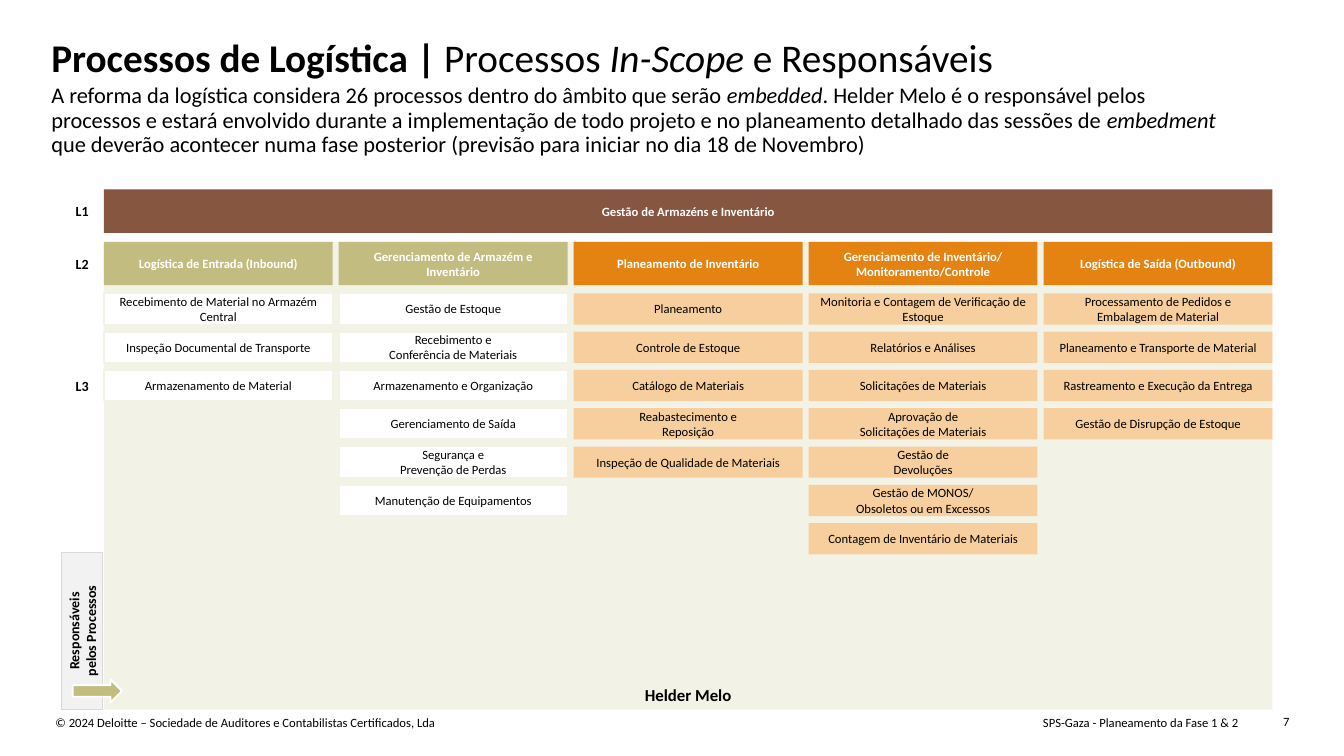
from pptx import Presentation
from pptx.dml.color import RGBColor
from pptx.enum.shapes import MSO_SHAPE as Shape
from pptx.enum.text import MSO_ANCHOR as Anchor, PP_ALIGN as Align
from pptx.util import Inches, Pt

BLACK, WHITE = "000000", "FFFFFF"
PANEL, BROWN, OLIVE, ORANGE, PEACH = "F3F2E6", "865640", "C2BC80", "E48312", "F7CE9D"
GREY, GREY_LINE = "F2F2F2", "D9D9D9"
BOLD, ITALIC = {"bold": True}, {"italic": True}

# Heading, heading fill, L3 fill, L3 outline, L3 processes
L2_COLUMNS = [
    ("Logística de Entrada (Inbound)", OLIVE, WHITE, PANEL, [
        "Recebimento de Material no Armazém Central",
        "Inspeção Documental de Transporte",
        "Armazenamento de Material"]),
    ("Gerenciamento de Armazém e Inventário", OLIVE, WHITE, PANEL, [
        "Gestão de Estoque",
        "Recebimento e\nConferência de Materiais",
        "Armazenamento e Organização",
        "Gerenciamento de Saída",
        "Segurança e\nPrevenção de Perdas",
        "Manutenção de Equipamentos"]),
    ("Planeamento de Inventário", ORANGE, PEACH, None, [
        "Planeamento",
        "Controle de Estoque",
        "Catálogo de Materiais",
        "Reabastecimento e\nReposição",
        "Inspeção de Qualidade de Materiais"]),
    ("Gerenciamento de Inventário/\nMonitoramento/Controle", ORANGE, PEACH, None, [
        "Monitoria e Contagem de Verificação de\nEstoque",
        "Relatórios e Análises",
        "Solicitações de Materiais",
        "Aprovação de\nSolicitações de Materiais",
        "Gestão de\nDevoluções",
        "Gestão de MONOS/\nObsoletos ou em Excessos",
        "Contagem de Inventário de Materiais"]),
    ("Logística de Saída (Outbound)", ORANGE, PEACH, None, [
        "Processamento de Pedidos e Embalagem de Material",
        "Planeamento e Transporte de Material",
        "Rastreamento e Execução da Entrega",
        "Gestão de Disrupção de Estoque"]),
]


def rgb(colour):
    return RGBColor.from_string(colour)


def style_font(font, size, colour, formats):
    font.name, font.size, font.color.rgb = "Calibri", Pt(size), rgb(colour)
    for attribute, value in formats.items():
        setattr(font, attribute, value)


def add_text(slide, box, runs, size, align=Align.LEFT, spacing=None):
    """Text without margins, from (text, formats) runs."""
    frame = slide.shapes.add_textbox(*map(Inches, box)).text_frame
    frame.word_wrap = True
    for side in ("left", "right", "top", "bottom"):
        setattr(frame, f"margin_{side}", 0)
    paragraph = frame.paragraphs[0]
    paragraph.alignment, paragraph.line_spacing = align, spacing
    for text, formats in runs:
        run = paragraph.add_run()
        run.text = text
        style_font(run.font, size, BLACK, formats)


def fill_label(frame, text, size, colour, formats, anchor=Anchor.MIDDLE):
    frame.word_wrap, frame.vertical_anchor = True, anchor
    for i, line in enumerate(text.split("\n")):
        paragraph = frame.add_paragraph() if i else frame.paragraphs[0]
        paragraph.alignment = Align.CENTER
        run = paragraph.add_run()
        run.text = line
        style_font(run.font, size, colour, formats)


def add_block(slide, box, fill, line=None, weight=1.35, kind=Shape.RECTANGLE):
    block = slide.shapes.add_shape(kind, *map(Inches, box))
    block.shadow.inherit = False
    block.fill.solid()
    block.fill.fore_color.rgb = rgb(fill)
    if line:
        block.line.color.rgb = rgb(line)
        block.line.width = Pt(weight)
    else:
        block.line.fill.background()
    return block.text_frame


def add_heading(slide, left, top, width):
    add_text(slide, (left, top, width, 0.46), [
        ("Processos de Logística | ", BOLD), ("Processos ", {}),
        ("In-Scope", ITALIC), (" e Responsáveis", {})], 28, spacing=0.9)
    add_text(slide, (left, top + 0.46, width, 0.84), [
        ("A reforma da logística considera 26 processos dentro do âmbito que serão ", {}),
        ("embedded", ITALIC),
        (". Helder Melo é o responsável pelos processos e estará envolvido durante a "
         "implementação de todo projeto e no planeamento detalhado das sessões de ", {}),
        ("embedment", ITALIC),
        (" que deverão acontecer numa fase posterior "
         "(previsão para iniciar no dia 18 de Novembro)", {})], 16, spacing=0.9)


def add_column(slide, left, top, width, column):
    heading, heading_fill, fill, line, processes = column
    frame = add_block(slide, (left, top, width, 0.43), heading_fill)
    fill_label(frame, heading, 9, WHITE, BOLD)
    for row, process in enumerate(processes):
        box = (left, top + 0.51 + row * 0.38, width, 0.31)
        fill_label(add_block(slide, box, fill, line), process, 9, BLACK, {})


def add_process_map(slide, left, top, width, height):
    columns_top, gap = top + 0.52, 0.06
    # Background panel with the person in charge, and the L1 bar
    panel = add_block(slide, (left, columns_top, width, height - 0.52), PANEL)
    fill_label(panel, "Helder Melo", 12, BLACK, BOLD, Anchor.BOTTOM)
    level_one = add_block(slide, (left, top, width, 0.43), BROWN)
    fill_label(level_one, "Gestão de Armazéns e Inventário", 9, WHITE, BOLD)
    # L2 columns with their L3 processes
    column_width = (width - gap * (len(L2_COLUMNS) - 1)) / len(L2_COLUMNS)
    for i, column in enumerate(L2_COLUMNS):
        add_column(slide, left + i * (column_width + gap), columns_top, column_width, column)


def add_level_rail(slide, left, top, width, height):
    for level, offset, level_height in (("L1", 0, 0.43), ("L2", 0.52, 0.43), ("L3", 1.04, 1.81)):
        box = (left, top + offset, width, level_height)
        label = slide.shapes.add_textbox(*map(Inches, box)).text_frame
        fill_label(label, level, 10, BLACK, BOLD)
    # Vertical tab and arrow for the people in charge
    bottom = top + height
    tab = add_block(slide, (left, bottom - 1.56, width, 1.56), GREY, GREY_LINE, 0.5)
    fill_label(tab, "Responsáveis\npelos Processos", 10, BLACK, BOLD)
    tab._txBody.bodyPr.set("vert", "vert270")
    add_block(slide, (left + 0.11, bottom - 0.3, 0.49, 0.23), OLIVE, WHITE,
              kind=Shape.RIGHT_ARROW)


def add_footer(slide, left, top, width):
    copyright_line = "© 2024 Deloitte – Sociedade de Auditores e Contabilistas Certificados, Lda"
    right = left + width
    add_text(slide, (left, top, 5.86, 0.3), [(copyright_line, {})], 9, spacing=1.06)
    add_text(slide, (right - 5.86, top + 0.01, 5.35, 0.3),
             [("SPS-Gaza - Planeamento da Fase 1 & 2", {})], 9, Align.RIGHT)
    add_text(slide, (right - 0.34, top, 0.34, 0.15), [("7", {})], 9, Align.RIGHT)


def main():
    deck = Presentation()
    deck.slide_width, deck.slide_height = Inches(13.33), Inches(7.5)
    slide = deck.slides.add_slide(deck.slide_layouts[6])
    add_footer(slide, 0.55, 7.08, 12.24)
    add_heading(slide, 0.51, 0.38, 11.7)
    add_process_map(slide, 1.03, 1.88, 11.59, 5.16)
    add_level_rail(slide, 0.61, 1.88, 0.41, 5.16)
    deck.save("out.pptx")


if __name__ == "__main__":
    main()
